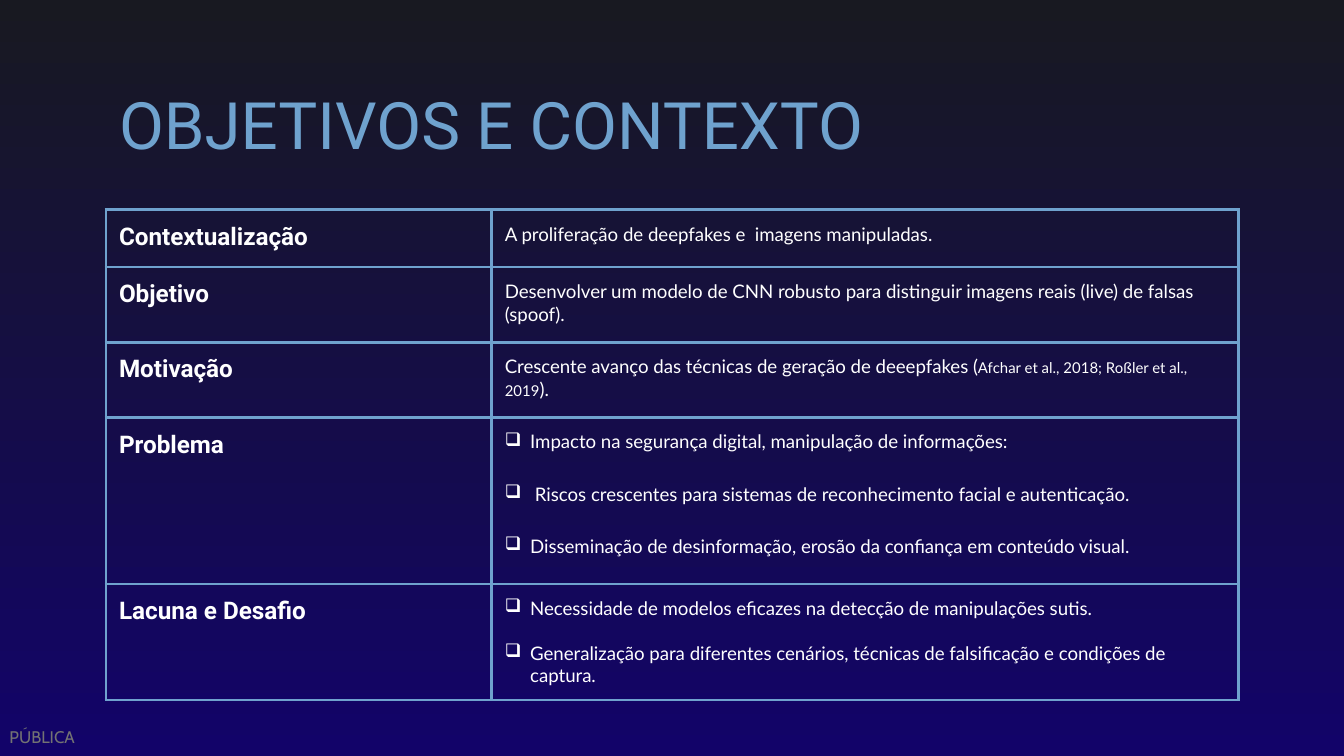
from lxml.etree import SubElement
from pptx import Presentation
from pptx.dml.color import RGBColor
from pptx.enum.text import MSO_ANCHOR, MSO_AUTO_SIZE, PP_ALIGN
from pptx.oxml.ns import qn
from pptx.util import Cm, Pt

HEX = {"text": "FFFFFF", "line": "6FA2CE", "label": "737373",
       "top": "181921", "base": "120369"}
INSET = Cm(0.25)
ROWS = [  # heading, height, gap between paragraphs in points, paragraphs
    ("Contextualização", 1.09, 0, ["A proliferação de deepfakes e  imagens manipuladas."]),
    ("Objetivo", 1.42, 0, ["Desenvolver um modelo de CNN robusto para distinguir "
                           "imagens reais (live) de falsas (spoof)."]),
    ("Motivação", 1.42, 0, ["Crescente avanço das técnicas de geração de deeepfakes (|"
                            "Afchar et al., 2018; Roßler et al., 2019|)."]),
    ("Problema", 3.15, 16, [
        "Impacto na segurança digital, manipulação de informações:",
        " Riscos crescentes para sistemas de reconhecimento facial e autenticação.",
        "Disseminação de desinformação, erosão da confiança em conteúdo visual."]),
    ("Lacuna e Desafio", 2.18, 12, [
        "Necessidade de modelos eficazes na detecção de manipulações sutis.",
        "Generalização para diferentes cenários, técnicas de falsificação e "
        "condições de captura."]),
]


def style(para, face, size, color, bold=False):
    font = para.font
    font.name, font.size, font.bold = face, Pt(size), bold
    font.color.rgb = RGBColor.from_string(HEX[color])


def frame(cell):
    """Give a cell its borders, insets and clear fill."""
    props = cell._tc.get_or_add_tcPr()
    for side in ("a:lnL", "a:lnR", "a:lnT", "a:lnB"):
        line = SubElement(props, qn(side), w=str(Pt(1.5)))
        fill = SubElement(line, qn("a:solidFill"))
        SubElement(fill, qn("a:srgbClr"), val=HEX["line"])
    cell.fill.background()
    cell.margin_left = cell.margin_right = INSET
    cell.margin_top = cell.margin_bottom = INSET


prs = Presentation()
prs.slide_width, prs.slide_height = Cm(25.4), Cm(14.29)
slide = prs.slides.add_slide(prs.slide_layouts[5])

back = slide.background.fill
back.gradient()
back.gradient_angle = 90
for stop, name, place in zip(back.gradient_stops, ("base", "top"), (0, 1)):
    stop.color.rgb = RGBColor.from_string(HEX[name])
    stop.position = place

title = slide.shapes.title
title.left, title.top, title.width, title.height = Cm(2), Cm(1.24), Cm(21.4), Cm(1.6)
text = title.text_frame
text.text = "OBJETIVOS E CONTEXTO"
text.auto_size = MSO_AUTO_SIZE.NONE
text.vertical_anchor = MSO_ANCHOR.TOP
text.margin_left = text.margin_right = text.margin_bottom = INSET
text.margin_top = Cm(0.36)
text.paragraphs[0].alignment = PP_ALIGN.LEFT
style(text.paragraphs[0], "Roboto", 35, "line")

label = slide.shapes.add_textbox(Cm(0.18), Cm(13.74), Cm(1.3), Cm(0.38)).text_frame
label.text = "PÚBLICA"
label.margin_left = label.margin_right = label.margin_top = label.margin_bottom = 0
style(label.paragraphs[0], "Cabin", 9, "label")

high = sum(row[1] for row in ROWS)
table = slide.shapes.add_table(len(ROWS), 2, Cm(2), Cm(3.96), Cm(21.41), Cm(high)).table
table.first_row = table.horz_banding = False
table.columns[0].width, table.columns[1].width = Cm(7.29), Cm(14.12)

for row, (head, tall, gap, items) in enumerate(ROWS):
    table.rows[row].height = Cm(tall)
    left, right = table.cell(row, 0), table.cell(row, 1)
    frame(left)
    frame(right)
    left.text = head
    style(left.text_frame.paragraphs[0], "Roboto", 13, "text", True)

    body = right.text_frame
    for index, item in enumerate(items):
        para = body.add_paragraph() if index else body.paragraphs[0]
        if len(items) > 1:
            props = para._p.get_or_add_pPr()
            props.set("marL", str(Cm(0.48)))
            props.set("indent", str(-Cm(0.48)))
            tint = SubElement(props, qn("a:buClr"))
            SubElement(tint, qn("a:srgbClr"), val=HEX["text"])
            SubElement(props, qn("a:buChar"), char="❑")
        if index:
            para.space_before = Pt(gap)
        style(para, "Lato", 10, "text")
        for part, words in enumerate(item.split("|")):
            run = para.add_run()
            run.text = words
            if part == 1:  # the citation
                run.font.size = Pt(8)

prs.save("out.pptx")
